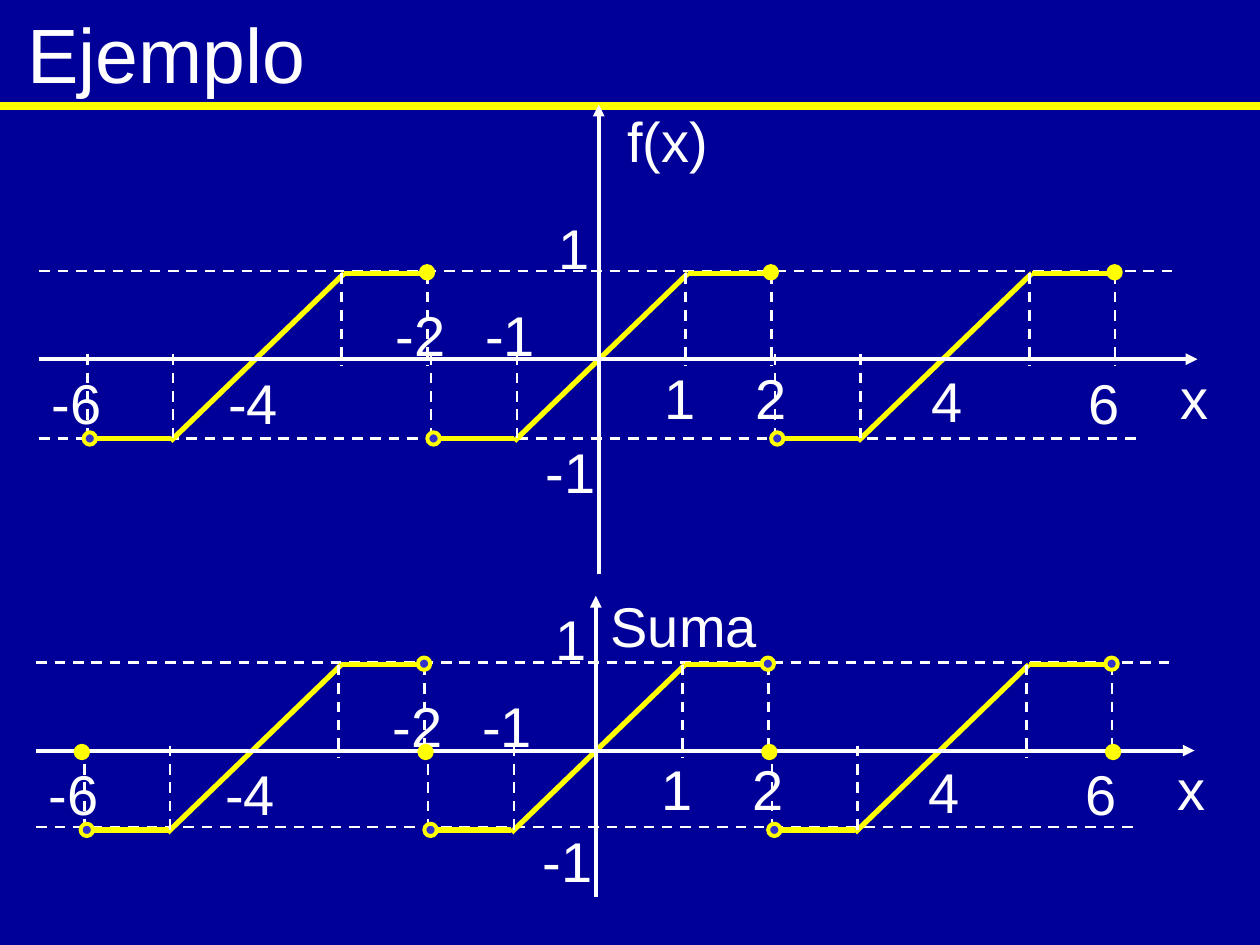
from lxml import etree
from pptx import Presentation
from pptx import util as u
from pptx.dml.color import RGBColor
from pptx.enum import dml, shapes
from pptx.oxml import ns

NAVY = RGBColor(0x00, 0x00, 0x99)
BLUE = RGBColor(0x33, 0x33, 0xCC)
YELLOW = RGBColor(0xFF, 0xFF, 0x00)
WHITE = RGBColor(0xFF, 0xFF, 0xFF)


def add_text(parent, words, left, top, width, height=1.6, size=32):
    box = parent.shapes.add_textbox(u.Cm(left), u.Cm(top), u.Cm(width), u.Cm(height))
    frame = box.text_frame
    frame.word_wrap = True
    frame.margin_top, frame.margin_bottom = u.Cm(0.24), 0
    frame.text = words
    font = frame.paragraphs[0].runs[0].font
    font.name, font.size = "Arial", u.Pt(size)
    font.color.rgb = WHITE


def add_line(parent, x1, y1, x2, y2, color, width, dashed=False, arrow=False):
    connector = parent.shapes.add_connector(
        shapes.MSO_CONNECTOR.STRAIGHT, u.Cm(x1), u.Cm(y1), u.Cm(x2), u.Cm(y2))
    line = connector.line
    line.color.rgb = color
    line.width = u.Pt(width)
    if dashed:
        line.dash_style = dml.MSO_LINE.DASH
    properties = connector._element.spPr
    if arrow:
        etree.SubElement(properties.find(ns.qn("a:ln")), ns.qn("a:tailEnd"), type="triangle")
    etree.SubElement(properties, ns.qn("a:effectLst"))


presentation = Presentation()
presentation.slide_width, presentation.slide_height = u.Cm(25.4), u.Cm(19.05)
slide = presentation.slides.add_slide(presentation.slide_layouts[6])
slide.background.fill.solid()
slide.background.fill.fore_color.rgb = NAVY

# Title and rule
add_text(slide, "Ejemplo", 0.3, -0.1, 22.2, 2.1, 44)
add_line(slide, 0, 2.13, 25.4, 2.13, YELLOW, 4.5)

# Offsets from the origin of a graph, in centimetres
PERIOD = 6.93
TOP, BOTTOM = -1.73, 1.6
DOT = 0.25
LABELS = [
    ("1", -1.07, -3.18, 1.17), ("1", 1.07, -0.15, 1.17), ("2", 2.92, -0.15, 1.17),
    ("4", 6.45, -0.1, 1.17), ("6", 9.63, -0.05, 1.17), ("x", 11.48, -0.15, 1.17),
    ("-1", -2.54, -1.42, 1.75), ("-2", -4.34, -1.42, 1.75),
    ("-4", -7.72, -0.05, 1.7), ("-6", -11.28, -0.05, 1.7),
]

# Per graph: origin, ends of the vertical axis, raise of the lower guide,
# name with its place, fill of the upper dots, whether the jumps have a midpoint
GRAPHS = [
    (12.07, 7.24, -5.13, 4.34, 0, ("f(x)", 0.33, -5.33, 2.84), YELLOW, False),
    (12.01, 15.13, -3.12, 2.95, 0.06, ("Suma", 0.05, -3.45, 3.76), BLUE, True),
]

for x0, y0, axis_top, axis_bottom, lift, name, upper_fill, midpoints in GRAPHS:
    graph = slide.shapes.add_group_shape()

    # Labels
    for words, dx, dy, width in LABELS + [("-1", -1.32, 1.35 - lift, 1.75), name]:
        add_text(graph, words, x0 + dx, y0 + dy, width)

    # Horizontal guides
    for dy, end in ((-1.78, 11.58), (BOTTOM - lift, 10.85)):
        add_line(graph, x0 - 11.28, y0 + dy, x0 + end, y0 + dy, WHITE, 1.5, dashed=True)

    dots = []
    for period in (-1, 0, 1):
        x = x0 + period * PERIOD
        # Floor, ramp and ceiling of one period
        for x1, y1, x2, y2 in ((-3.38, BOTTOM, -1.7, BOTTOM),
                               (-1.7, 1.65, 1.8, TOP),
                               (1.8, TOP, 3.48, TOP)):
            add_line(graph, x + x1, y0 + y1, x + x2, y0 + y2, YELLOW, 3)
        # Vertical guides
        for dx, start, end in ((1.75, TOP, 0.13), (3.48, TOP, 0.13),
                               (-1.65, -0.1, 1.75), (-3.38, -0.1, 1.75)):
            add_line(graph, x + dx, y0 + start, x + dx, y0 + end, WHITE, 1.5, dashed=True)
        dots += [(x + 3.47, y0 - 1.75, upper_fill), (x - 3.33, y0 + BOTTOM, BLUE)]

    # Axes
    add_line(graph, x0 - 11.28, y0, x0 + 12.07, y0, WHITE, 2.25, arrow=True)
    add_line(graph, x0, y0 + axis_bottom, x0, y0 + axis_top, WHITE, 2.25, arrow=True)

    # End points of the pieces
    if midpoints:
        dots += [(x0 + 3.5 + jump * PERIOD, y0 + 0.03, YELLOW) for jump in (-2, -1, 0, 1)]
    for x, y, fill in dots:
        dot = graph.shapes.add_shape(shapes.MSO_SHAPE.OVAL, u.Cm(x - DOT / 2),
                                     u.Cm(y - DOT / 2), u.Cm(DOT), u.Cm(DOT))
        dot.shadow.inherit = False
        dot.fill.solid()
        dot.fill.fore_color.rgb = fill
        dot.line.color.rgb = YELLOW
        dot.line.width = u.Pt(2.25)

presentation.save("out.pptx")
